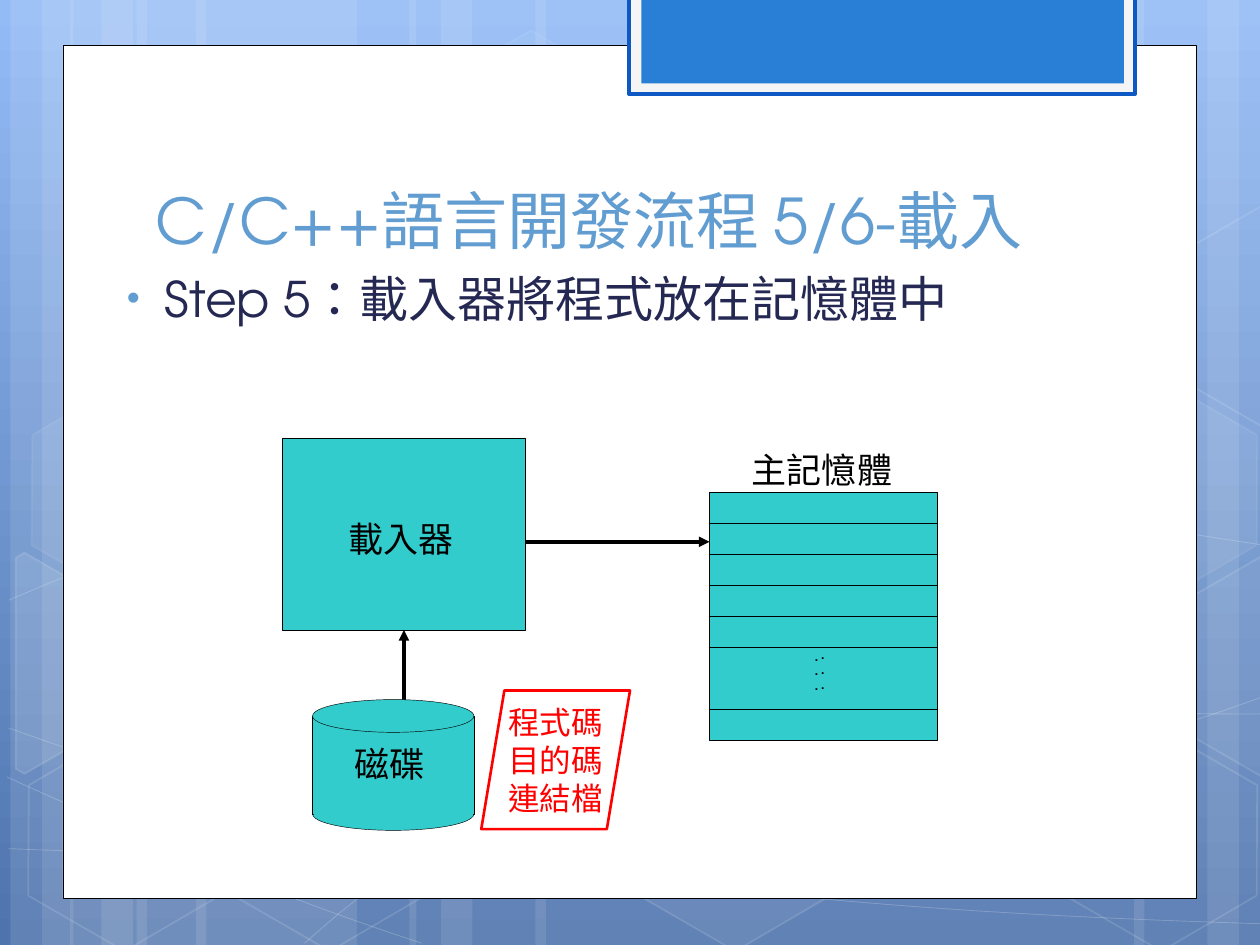
"""Build a slide on how a loader places a C/C++ program in memory."""
from dataclasses import dataclass

from lxml.etree import SubElement
from pptx import Presentation
from pptx.dml.color import RGBColor
from pptx.enum.shapes import MSO_CONNECTOR, MSO_SHAPE
from pptx.enum.text import MSO_ANCHOR, PP_ALIGN
from pptx.oxml.ns import qn
from pptx.util import Pt


@dataclass(frozen=True)
class Theme:
    sky: str = "93BBF6"
    deep: str = "4F74AD"
    white: str = "FFFFFF"
    black: str = "000000"
    pale: str = "F5F5F5"
    edge: str = "0E58C4"
    tab: str = "297FD5"
    teal: str = "33CCCC"
    red: str = "FF0000"
    title: tuple = (36, "TeX Gyre Adventor", "629DD1")
    body: tuple = (28, "TeX Gyre Adventor", "242852")
    name: tuple = (20, "Times New Roman", "000000")
    label: tuple = (20, "Arial", "000000")
    code: tuple = (18, "Arial", "FF0000")
    dot: tuple = (7, "Courier New", "000000")


theme = Theme()
deck = Presentation()
wide, high = 720, 540
deck.slide_width, deck.slide_height = Pt(wide), Pt(high)
slide = deck.slides.add_slide(deck.slide_layouts[6])
shapes = slide.shapes


def paint(shape, fill=None, line=None, width=0.25, alpha=100, fade=100):
    shape.shadow.inherit = False
    shape.line.width = Pt(width)
    inks = [(shape.fill, fill, alpha, "a:solidFill/a:srgbClr"),
            (shape.line.fill, line, fade, "a:ln/a:solidFill/a:srgbClr")]
    for ink, color, share, place in inks:
        if not color or not share:
            ink.background()
            continue
        ink.solid()
        ink.fore_color.rgb = RGBColor.from_string(color)
        if share < 100:
            tone = shape._element.spPr.xpath(place)[0]
            SubElement(tone, qn("a:alpha"), val=str(share * 1000))


def write(shape, lines, style, align=PP_ALIGN.LEFT, inset=None, bold=False, before=0):
    frame = shape.text_frame
    frame.word_wrap = True
    if inset is not None:
        frame.margin_left = frame.margin_right = Pt(inset)
        frame.margin_top = frame.margin_bottom = Pt(inset)
    frame.text = "\n".join(lines)
    size, face, color = style
    for para in frame.paragraphs:
        para.alignment = align
        para.space_before = Pt(before)
        para.font.size, para.font.name, para.font.bold = Pt(size), face, bold
        para.font.color.rgb = RGBColor.from_string(color)
        for run in para.runs:
            run._r.get_or_add_rPr().set("lang", "zh-TW")
    return frame


back = slide.background.fill
back.gradient()
back.gradient_angle = 270
for stop, color, place in zip(back.gradient_stops, (theme.sky, theme.deep), (0, 1)):
    stop.color.rgb = RGBColor.from_string(color)
    stop.position = place

bands = {126: (78, 112, 528), 36: (6, 40, 690, 234), 60: (24, 58, 648, 252), 222: (306,)}
for width, lefts in bands.items():
    for left in lefts:
        band = shapes.add_shape(MSO_SHAPE.RECTANGLE, Pt(left), 0, Pt(width), Pt(high))
        paint(band, theme.white, alpha=10)

waves = [(5, 725, (485, 486, 461, 397)), (5, 725, (343, 279.5, 280, 312)),
         (4, 241, (444, 479, 511, 539)), (5, 725, (416, 482, 515, 528)),
         (174, 724, (539, 432, 406, 408))]
steps = 30
for start, end, (a, b, c, d) in waves:
    track = []
    for n in range(steps + 1):
        u = 3 * n / steps
        y = (a + u * (b - a) + u * (u - 1) * (c - 2 * b + a) / 2
             + u * (u - 1) * (u - 2) * (d - 3 * c + 3 * b - a) / 6)
        track.append((Pt(start + (end - start) * n / steps), Pt(y)))
    pen = shapes.build_freeform(*track[0])
    pen.add_line_segments(track[1:], close=False)
    paint(pen.convert_to_shape(), line=theme.white, width=0.5, fade=20)

combs = {26: [(240.5, 4, 8)],
         225.3: [(10, 7, 8), (600.5, 7, 8)],
         326: [(542, 10, 12)],
         425.5: [(8, 0, 12), (125.3, 0, 12), (357, 6, 12), (600.5, 0, 12)]}
for top, row in combs.items():
    for left, alpha, fade in row:
        comb = shapes.add_shape(MSO_SHAPE.HEXAGON, Pt(left), Pt(top), Pt(126), Pt(109.5))
        comb.rotation = 30
        comb.adjustments[0], comb.adjustments[1] = 0.285, 1.155
        paint(comb, theme.white, theme.white, 1, alpha, fade)

radius, reach, stub = 63.2, 54.7, 5
for mid, level, side, alpha in ((14, 379, -1, 10), (721.4, 380.8, 1, 4), (721.4, 180.6, 1, 0)):
    upper = [(mid + side * stub, radius - 2.9), (mid, radius), (mid - side * reach, radius / 2)]
    rim = [(Pt(x), Pt(level - y)) for x, y in upper]
    rim += [(Pt(x), Pt(level + y)) for x, y in reversed(upper)]
    pen = shapes.build_freeform(*rim[0])
    pen.add_line_segments(rim[1:])
    paint(pen.convert_to_shape(), theme.white, theme.white, 1, alpha, 12)

panels = [(36, 25.9, 648, 487.4, theme.white, theme.black, 0.5),
          (359.3, -1.4, 289.4, 55.1, theme.pale, theme.edge, 2),
          (366.5, -1.4, 275.8, 49, theme.tab, None, 0)]
for left, top, width, height, fill, line, weight in panels:
    panel = shapes.add_shape(MSO_SHAPE.RECTANGLE, Pt(left), Pt(top), Pt(width), Pt(height))
    paint(panel, fill, line, weight)

head = shapes.add_textbox(Pt(82), Pt(60.5), Pt(553), Pt(90))
write(head, ["C/C++語言開發流程 5/6-載入"], theme.title).vertical_anchor = MSO_ANCHOR.BOTTOM

step = shapes.add_textbox(Pt(60), Pt(150), Pt(606), Pt(91.4))
frame = write(step, ["Step 5：載入器將程式放在記憶體中"], theme.body, before=7)
props = frame.paragraphs[0]._p.get_or_add_pPr()
props.set("marL", str(Pt(27)))
props.set("indent", str(Pt(-21.6)))
tint = SubElement(props, qn("a:buClr"))
SubElement(tint, qn("a:srgbClr"), val=theme.title[2])
SubElement(props, qn("a:buSzPct"), val="76000")
SubElement(props, qn("a:buFont"), typeface="Arial")
SubElement(props, qn("a:buChar"), char="•")
props.append(props.find(qn("a:defRPr")))

store, pitch, top = 405.4, 17.7, 281.5
for rows in (1, 1, 1, 1, 1, 2, 1):
    slot = shapes.add_shape(MSO_SHAPE.RECTANGLE, Pt(store), Pt(top), Pt(130.3), Pt(pitch * rows))
    paint(slot, theme.teal, theme.black)
    top += pitch * rows
for left, top in ((459.4, 370.8), (463, 370.1)):
    dots = shapes.add_textbox(Pt(left), Pt(top), Pt(14.4), Pt(38.5))
    write(dots, ["."] * 3, theme.dot, PP_ALIGN.CENTER, 0, True)

load = shapes.add_shape(MSO_SHAPE.RECTANGLE, Pt(161.3), Pt(250.6), Pt(139), Pt(109.4))
paint(load, theme.teal, theme.black)

flow = shapes.add_connector(MSO_CONNECTOR.STRAIGHT, Pt(300.3), Pt(309.6), Pt(store), Pt(309.6))
feed = shapes.add_connector(MSO_CONNECTOR.STRAIGHT, Pt(230.8), Pt(401), Pt(230.8), Pt(360))
feed.end_connect(load, 2)
for link in (flow, feed):
    link.line.width = Pt(2)
    link.line.color.rgb = RGBColor.from_string(theme.black)
    props = link._element.spPr
    SubElement(props.get_or_add_ln(), qn("a:tailEnd"), type="triangle")
    SubElement(props, qn("a:effectLst"))

left, width, lid, crown, base = 178.6, 92.2, 18.7, 399.8, 455.8
disk = [(MSO_SHAPE.OVAL, left, base, width, lid, theme.black),
        (MSO_SHAPE.RECTANGLE, left, crown + lid / 2, width, base - crown, theme.black),
        (MSO_SHAPE.RECTANGLE, left + 0.7, base, width - 1.4, lid / 2 + 0.5, theme.teal),
        (MSO_SHAPE.OVAL, left, crown, width, lid, theme.black)]
for kind, x, y, across, down, line in disk:
    part = shapes.add_shape(kind, Pt(x), Pt(y), Pt(across), Pt(down))
    paint(part, theme.teal, line)

names = [("載入器", 172.8, 296, 113, 33.8, theme.name, PP_ALIGN.CENTER, 0, 0),
         ("磁碟", 202.3, 424, 44.6, 42.5, theme.name, PP_ALIGN.LEFT, 0, 0),
         ("主記憶體", 422.6, 252.7, 108, 31.7, theme.label, PP_ALIGN.LEFT, None, 12.5)]
for text, left, top, width, height, style, align, inset, before in names:
    box = shapes.add_textbox(Pt(left), Pt(top), Pt(width), Pt(height))
    write(box, [text], style, align, inset, before=before)

files = shapes.add_shape(MSO_SHAPE.PARALLELOGRAM, Pt(275), Pt(394.6), Pt(85), Pt(79.2))
files.adjustments[0] = 0.167
paint(files, line=theme.red, width=1.5)
frame = write(files, ["程式碼", "目的碼", "連結檔"], theme.code, PP_ALIGN.CENTER)
frame.word_wrap = False
frame.vertical_anchor = MSO_ANCHOR.MIDDLE

deck.save("out.pptx")
